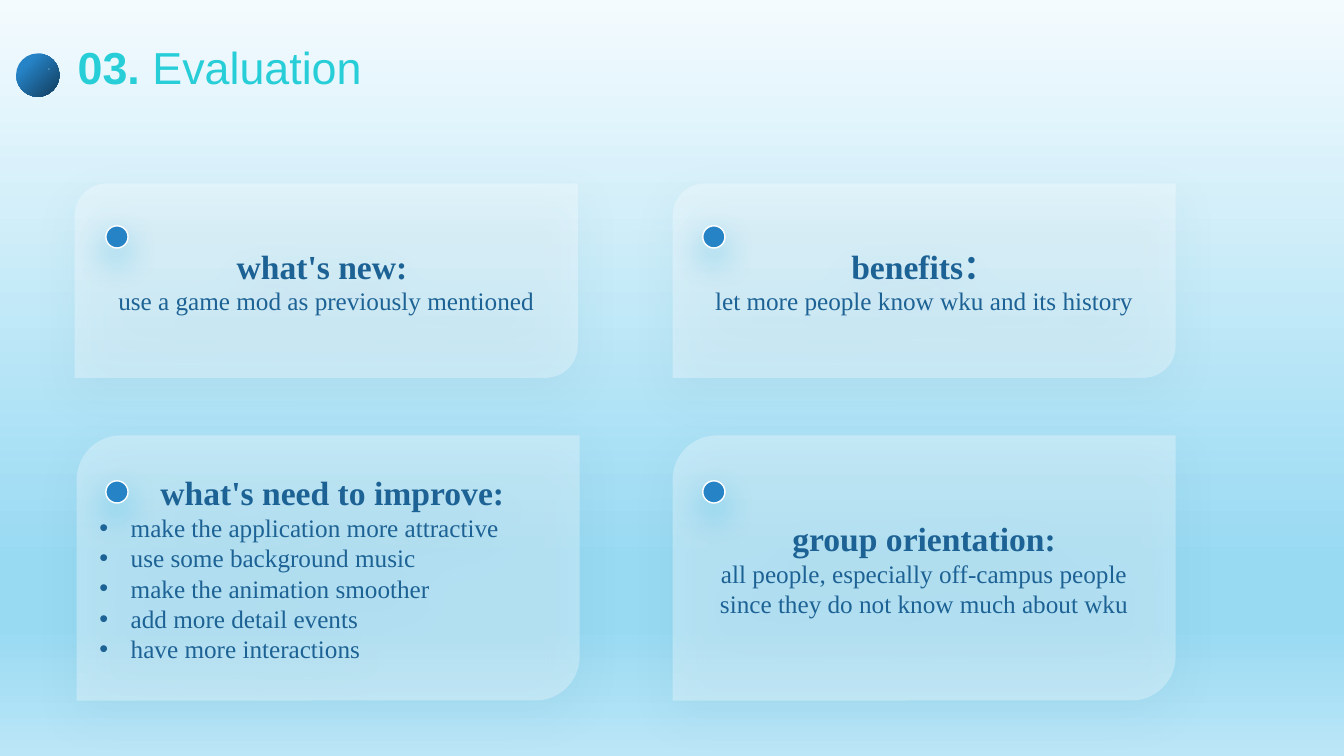
from dataclasses import dataclass
from lxml import etree
from pptx import Presentation
from pptx.dml.color import RGBColor
from pptx.enum.shapes import MSO_SHAPE
from pptx.enum.text import MSO_ANCHOR, PP_ALIGN
from pptx.oxml.ns import qn
from pptx.util import Inches, Pt

LEFT, CENTER = PP_ALIGN.LEFT, PP_ALIGN.CENTER
MIDDLE, BOTTOM = MSO_ANCHOR.MIDDLE, MSO_ANCHOR.BOTTOM
CARD, OVAL = MSO_SHAPE.ROUND_2_DIAG_RECTANGLE, MSO_SHAPE.OVAL


@dataclass(frozen=True)
class Theme:
    title: str = "27CED7"
    text: str = "1D6294"
    white: str = "FFFFFF"
    dot: str = "2683C6"
    glint: str = "D2EFFA"
    sky: tuple = ((0, "F4FBFE"), (74, "99DAF3"), (83, "99DAF3"), (100, "BBE6F7"))
    ball: tuple = ((25, "2683C6"), (95, "134163"))
    card_shade: tuple = ("0E5772", 17, 32, 11)
    dot_shade: tuple = ("1CADE4", 46, 23, 10)
    head_font: str = "Arial"
    body_font: str = "Times New Roman"
    title_size: int = 32
    head_size: int = 24
    body_size: int = 18


THEME = Theme()
TITLE = ("03.", " Evaluation")
CARDS = [
    (0.74, 0, "what's new: ", ["use a game mod as previously mentioned"]),
    (6.67, 0, "benefits：", ["let more people know wku and its history"]),
    (0.76, 1, " what's need to improve:", [
        "make the application more attractive",
        "use some background music",
        "make the animation smoother",
        "add more detail events",
        "have more interactions",
    ]),
    (6.67, 1, "group orientation:", [
        "all people, especially off-campus people since they do not know much about wku",
    ]),
]
ROWS = [(1.82, 1.93, 2.24), (4.32, 2.63, 4.77)]
DOTS = (1.05, 6.97)
WIDE, DOT = 4.99, 0.22


def add(parent, tag, **attrs):
    return etree.SubElement(parent, qn(tag), {k: str(v) for k, v in attrs.items()})


def tint(parent, color, alpha=100):
    node = add(parent, "a:srgbClr", val=color)
    if alpha < 100:
        add(node, "a:alpha", val=alpha * 1000)


def blend(fill, root, stops, angle):
    fill.gradient()
    grad = root.find(".//" + qn("a:gradFill"))
    for child in list(grad):
        grad.remove(child)
    group = add(grad, "a:gsLst")
    for place, color in stops:
        tint(add(group, "a:gs", pos=place * 1000), color)
    add(grad, "a:lin", ang=angle * 60000, scaled=0)


def paint(fill, color):
    fill.solid()
    fill.fore_color.rgb = RGBColor.from_string(color)


def shade(shape, color, alpha, blur, dist):
    shape.shadow.inherit = False
    effects = shape.element.spPr.find(qn("a:effectLst"))
    outer = add(effects, "a:outerShdw", blurRad=Pt(blur), dist=Pt(dist),
                dir=90 * 60000, algn="t", rotWithShape=0)
    tint(outer, color, alpha)


def place(slide, kind, *box):
    shape = slide.shapes.add_shape(kind, *map(Inches, box))
    shape.shadow.inherit = False
    shape.line.fill.background()
    return shape


def style(font, name, size, color, bold=False):
    font.name, font.size, font.bold = name, Pt(size), bold
    font.color.rgb = RGBColor.from_string(color)


def write(frame, head, lines):
    frame.word_wrap = True
    frame.vertical_anchor = MIDDLE
    para = frame.paragraphs[0]
    para.text, para.alignment = head, CENTER
    style(para.font, THEME.body_font, THEME.head_size, THEME.text, True)
    for line in lines:
        para = frame.add_paragraph()
        para.text, para.alignment = line, CENTER
        if len(lines) > 1:
            para.alignment = LEFT
            props = para._p.get_or_add_pPr()
            props.set("marL", str(Inches(0.31)))
            props.set("indent", str(-Inches(0.31)))
            add(props, "a:buFont", typeface="Arial")
            add(props, "a:buChar", char="•")
        style(para.font, THEME.body_font, THEME.body_size, THEME.text)


def add_title(slide):
    title = slide.shapes.title
    title.left, title.top = Inches(0.72), Inches(0.38)
    title.width, title.height = Inches(5.89), Inches(0.6)
    frame = title.text_frame
    frame.margin_left = frame.margin_right = Inches(0.05)
    frame.margin_top = frame.margin_bottom = Inches(0.05)
    frame.vertical_anchor = BOTTOM
    para = frame.paragraphs[0]
    para.alignment, para.line_spacing, para.space_after = LEFT, 0.9, Pt(2)
    for text, bold in zip(TITLE, (True, False)):
        run = para.add_run()
        run.text = text
        style(run.font, THEME.head_font, THEME.title_size, THEME.title, bold)


def main():
    deck = Presentation()
    deck.slide_width, deck.slide_height = Inches(13.33), Inches(7.5)
    slide = deck.slides.add_slide(deck.slide_layouts[5])
    blend(slide.background.fill, slide.element, THEME.sky, 90)
    add_title(slide)

    ball = place(slide, OVAL, 0.16, 0.53, 0.43, 0.43)
    blend(ball.fill, ball.element, THEME.ball, 45)
    glint = place(slide, OVAL, 0.48, 0.68, 0.01, 0.01)
    paint(glint.fill, THEME.glint)

    for left, row, head, lines in CARDS:
        top, high, _ = ROWS[row]
        card = place(slide, CARD, left, top, WIDE, high)
        paint(card.fill, THEME.white)
        color = card.element.spPr.find(qn("a:solidFill"))[0]
        add(color, "a:alpha", val=30000)
        shade(card, *THEME.card_shade)
        write(card.text_frame, head, lines)

    for _, _, top in ROWS:
        for left in DOTS:
            dot = place(slide, OVAL, left, top, DOT, DOT)
            paint(dot.fill, THEME.dot)
            paint(dot.line.fill, THEME.white)
            dot.line.width = Pt(1)
            shade(dot, *THEME.dot_shade)

    deck.save("out.pptx")


if __name__ == "__main__":
    main()
